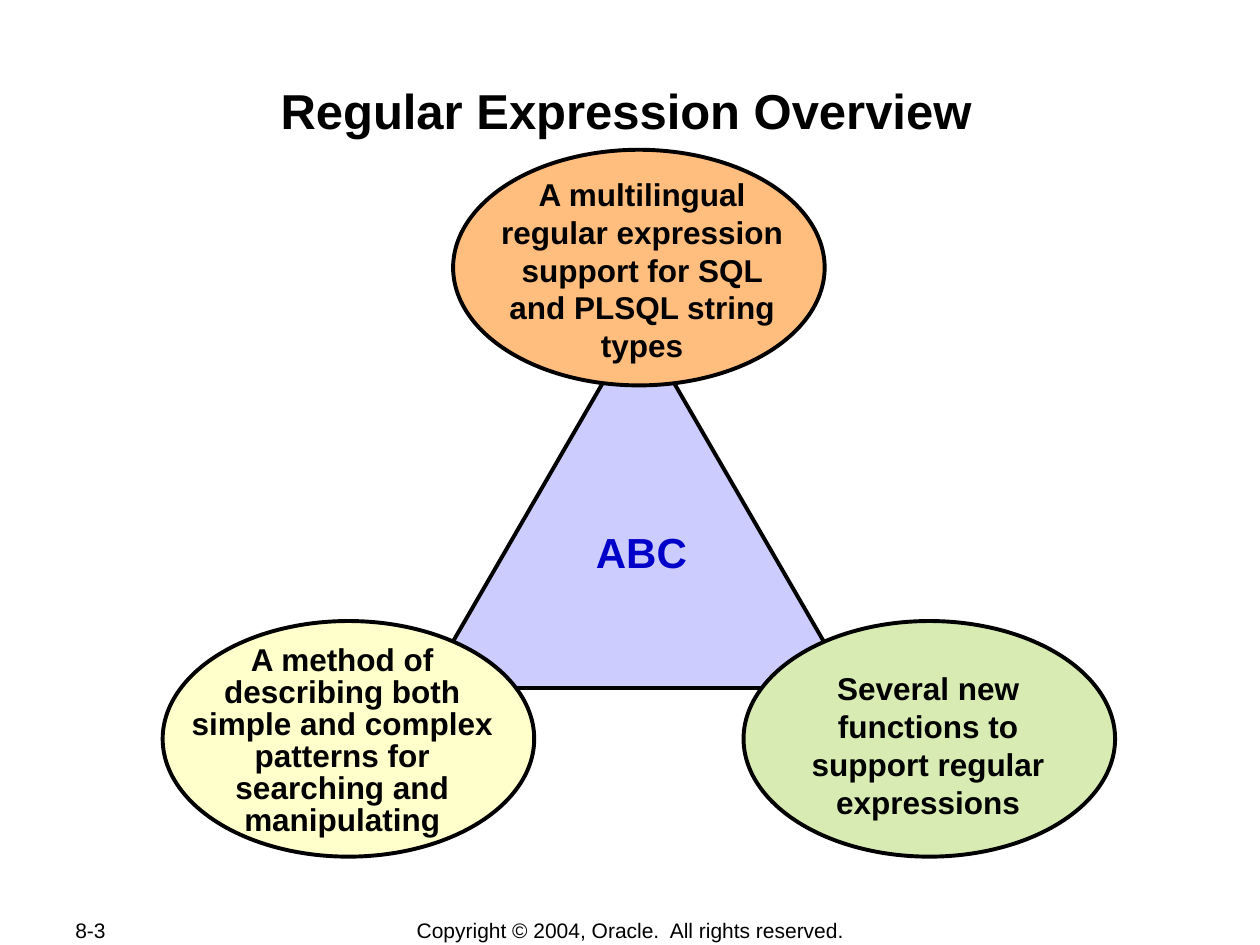
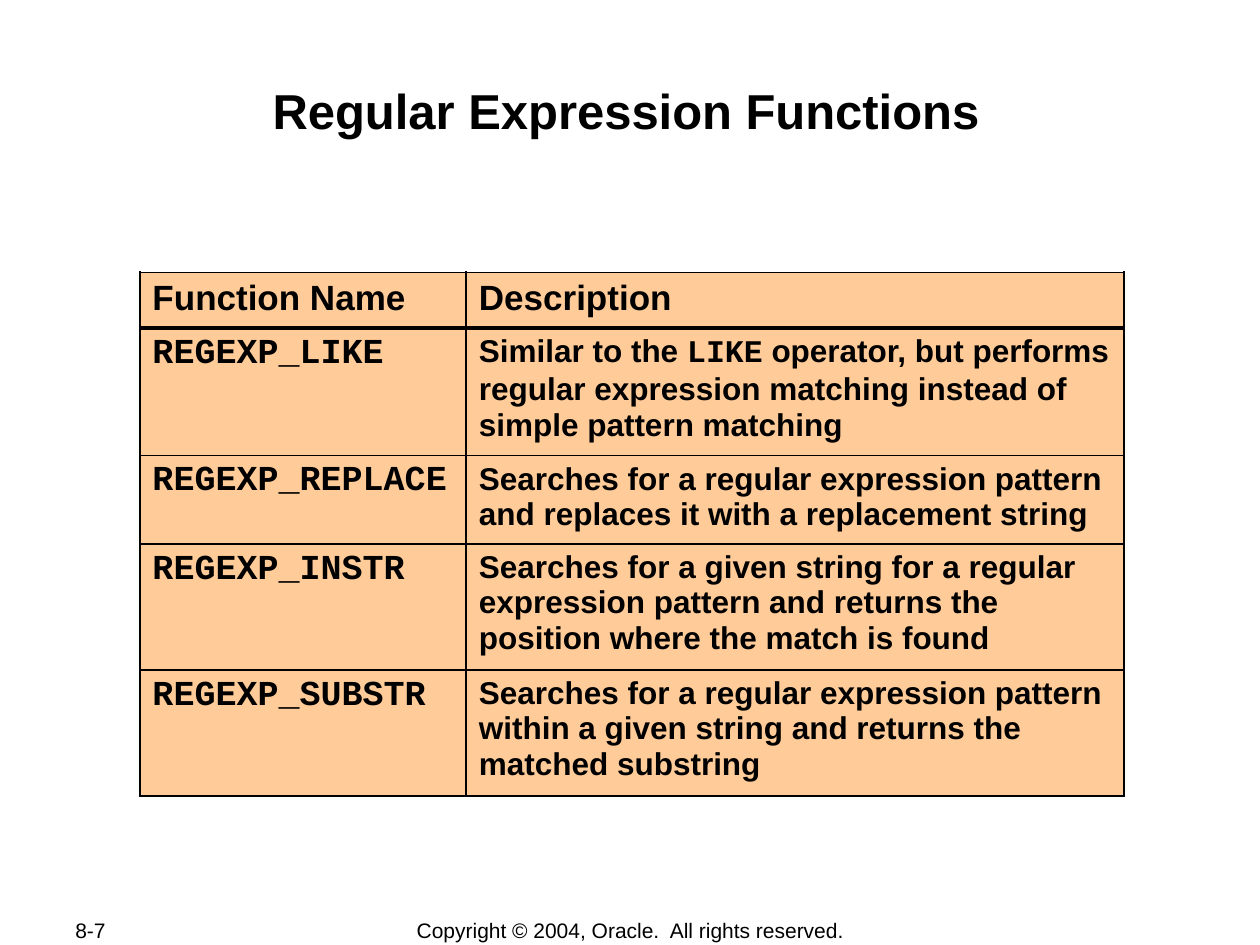
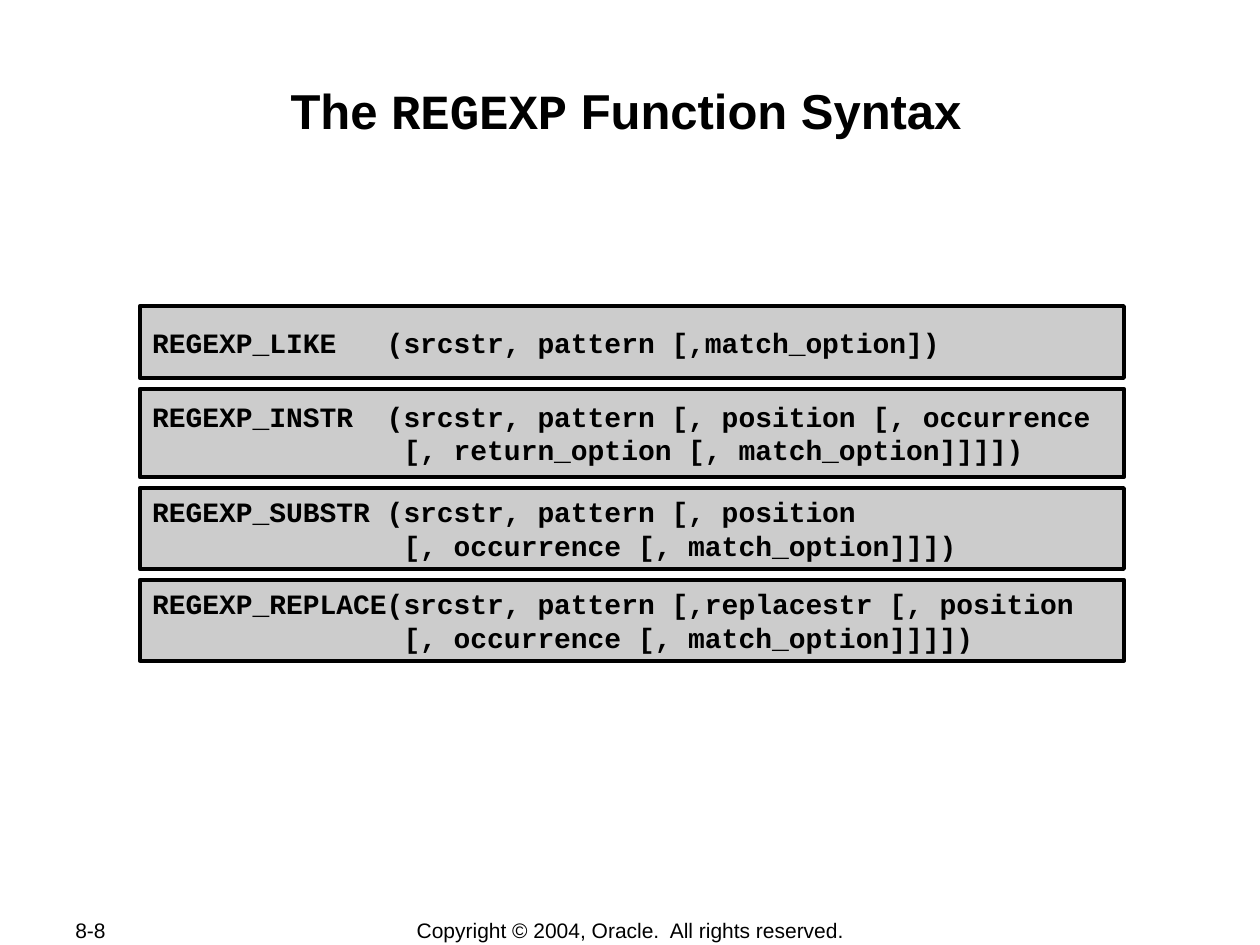
from pptx import Presentation
from pptx.dml.color import RGBColor
from pptx.enum.shapes import MSO_SHAPE as SH
from pptx.enum.text import MSO_ANCHOR as AN, PP_ALIGN as AL
from pptx.oxml.ns import qn
from pptx.util import Cm, Pt
from lxml.etree import SubElement as Sub

SANS, MONO = "Arial", "Courier New"
BLACK, BLUE = "000000", "0000C8"
PEACH, SAND, LILAC = "FFBE7D", "FFCC99", "CCCCFF"
CREAM, GREEN, GREY = "FFFFCC", "D8EBB3", "CCCCCC"
RULE = "Copyright © 2004, Oracle.  All rights reserved."


def hue(code):
    return RGBColor.from_string(code)


def write(frame, text, size, face=SANS, tint=BLACK, bold=True,
          align=AL.LEFT, space=None):
    """Fill a frame line by line; words between backticks are code."""
    frame.word_wrap = True
    for i, line in enumerate(text.split("\n")):
        para = frame.paragraphs[0] if i == 0 else frame.add_paragraph()
        para.alignment = align
        if space:
            para.line_spacing = space
        for j, part in enumerate(line.split("`")):
            run = para.add_run()
            run.text = part
            if j % 2:
                run.font.name = MONO
        font = para.font
        font.name, font.size, font.bold = face, Pt(size), bold
        font.color.rgb = hue(tint)


def label(slide, box, text, size, top=0.13, side=0.25, anchor=AN.TOP, **look):
    frame = slide.shapes.add_textbox(*map(Cm, box)).text_frame
    frame.margin_left = frame.margin_right = Cm(side)
    frame.margin_top = Cm(top)
    frame.vertical_anchor = anchor
    write(frame, text, size, **look)


def block(slide, kind, box, fill):
    shape = slide.shapes.add_shape(kind, *map(Cm, box))
    shape.shadow.inherit = False
    shape.fill.solid()
    shape.fill.fore_color.rgb = hue(fill)
    shape.line.color.rgb = hue(BLACK)
    shape.line.width = Pt(2.25)
    return shape


# Title and footer of every slide
def page(deck, title, number):
    slide = deck.slides.add_slide(deck.slide_layouts[6])
    label(slide, (7.01, 18.49, 11.4, 0.53), RULE, 12, bold=False,
          anchor=AN.MIDDLE, align=AL.CENTER)
    label(slide, (1.27, 18.49, 2.69, 0.51), number, 12, bold=False,
          anchor=AN.MIDDLE)
    label(slide, (2.46, 1.47, 20.32, 2.44), title, 28, top=0.15, side=0.03,
          align=AL.CENTER)
    return slide


# Triangle with an ellipse at each corner
def trio(slide, box):
    left, top, wide, high = box
    block(slide, SH.ISOSCELES_TRIANGLE,
          (left + 5.31, top + 3.46, 8.56, 7.39), LILAC)
    label(slide, (left + 8.48, top + 7.37, 2.34, 1.27), "ABC", 24, top=0.23,
          tint=BLUE, align=AL.CENTER)
    ew, eh = 7.49, 4.75
    low = high - eh
    # Ellipse place and fill, text box inside it, text, look
    nodes = [
        (0, low, CREAM, (0.23, 0.28, 6.78, 4.14),
         "A method of describing both simple and complex patterns for "
         "searching and manipulating", dict(top=0.21, space=0.85)),
        ((wide - ew) / 2, 0, PEACH, (0.56, 0.38, 6.5, 4.06),
         "A multilingual regular expression support for SQL and PLSQL "
         "string types", dict(anchor=AN.MIDDLE)),
        (wide - ew, low, GREEN, (0.53, 0.76, 6.38, 4.24),
         "Several new functions to support regular expressions",
         dict(top=0.21)),
    ]
    for x, y, fill, (dx, dy, w, h), text, look in nodes:
        x, y = left + x, top + y
        block(slide, SH.OVAL, (x, y, ew, eh), fill)
        label(slide, (x + dx, y + dy, w, h), text, 18, align=AL.CENTER, **look)


def edge(cell, side, width):
    line = Sub(cell._tc.get_or_add_tcPr(), qn("a:" + side),
               w=str(int(Pt(width))))
    fill = Sub(line, qn("a:solidFill"))
    Sub(fill, qn("a:srgbClr"), val=BLACK)


# Table of functions
def grid(slide, box, rows, cols, highs):
    table = slide.shapes.add_table(len(rows), len(cols),
                                   *map(Cm, box)).table
    for col, wide in zip(table.columns, cols):
        col.width = Cm(wide)
    for i, texts in enumerate(rows):
        table.rows[i].height = Cm(highs[i])
        for j, text in enumerate(texts):
            cell = table.cell(i, j)
            for side in ("lnL", "lnR", "lnT", "lnB"):
                thick = (i, side) in ((0, "lnB"), (1, "lnT"))
                edge(cell, side, 2.21 if thick else 1.08)
            cell.fill.solid()
            cell.fill.fore_color.rgb = hue(SAND)
            write(cell.text_frame, text, 18 if i and j else 20,
                  face=MONO if i and not j else SANS)


# Stack of code panels
def stack(slide, box, codes, gap=0.22):
    left, top, wide = box
    for high, code in codes:
        shape = block(slide, SH.RECTANGLE, (left, top, wide, high), GREY)
        frame = shape.text_frame
        frame.margin_top = frame.margin_bottom = Cm(0.03)
        frame.vertical_anchor = AN.MIDDLE
        write(frame, code, 16, face=MONO)
        top += high + gap


FUNCS = [
    ("Function Name", "Description"),
    ("REGEXP_LIKE", "Similar to the `LIKE` operator, but performs regular "
     "expression matching instead of simple pattern matching"),
    ("REGEXP_REPLACE", "Searches for a regular expression pattern and "
     "replaces it with a replacement string"),
    ("REGEXP_INSTR", "Searches for a given string for a regular expression "
     "pattern and returns the position where the match is found"),
    ("REGEXP_SUBSTR", "Searches for a regular expression pattern within a "
     "given string and returns the matched substring"),
]
CODES = [
    (1.45, "REGEXP_LIKE   (srcstr, pattern [,match_option])"),
    (1.78, "REGEXP_INSTR  (srcstr, pattern [, position [, occurrence\n"
           "               [, return_option [, match_option]]]])"),
    (1.63, "REGEXP_SUBSTR (srcstr, pattern [, position\n"
           "               [, occurrence [, match_option]]])"),
    (1.63, "REGEXP_REPLACE(srcstr, pattern [,replacestr [, position\n"
           "               [, occurrence [, match_option]]]])"),
]


def main():
    deck = Presentation()
    deck.slide_width, deck.slide_height = Cm(25.4), Cm(19.05)
    trio(page(deck, "Regular Expression Overview", "8-3"),
         (3.28, 3.02, 19.2, 14.25))
    grid(page(deck, "Regular Expression Functions", "8-7"),
         (2.82, 5.49, 19.84, 10.57), FUNCS, (6.58, 13.26),
         (1.12, 2.57, 1.78, 2.54, 2.54))
    stack(page(deck, "The `REGEXP` Function Syntax", "8-8"),
          (2.82, 6.17, 19.84), CODES)
    deck.save("out.pptx")


if __name__ == "__main__":
    main()
